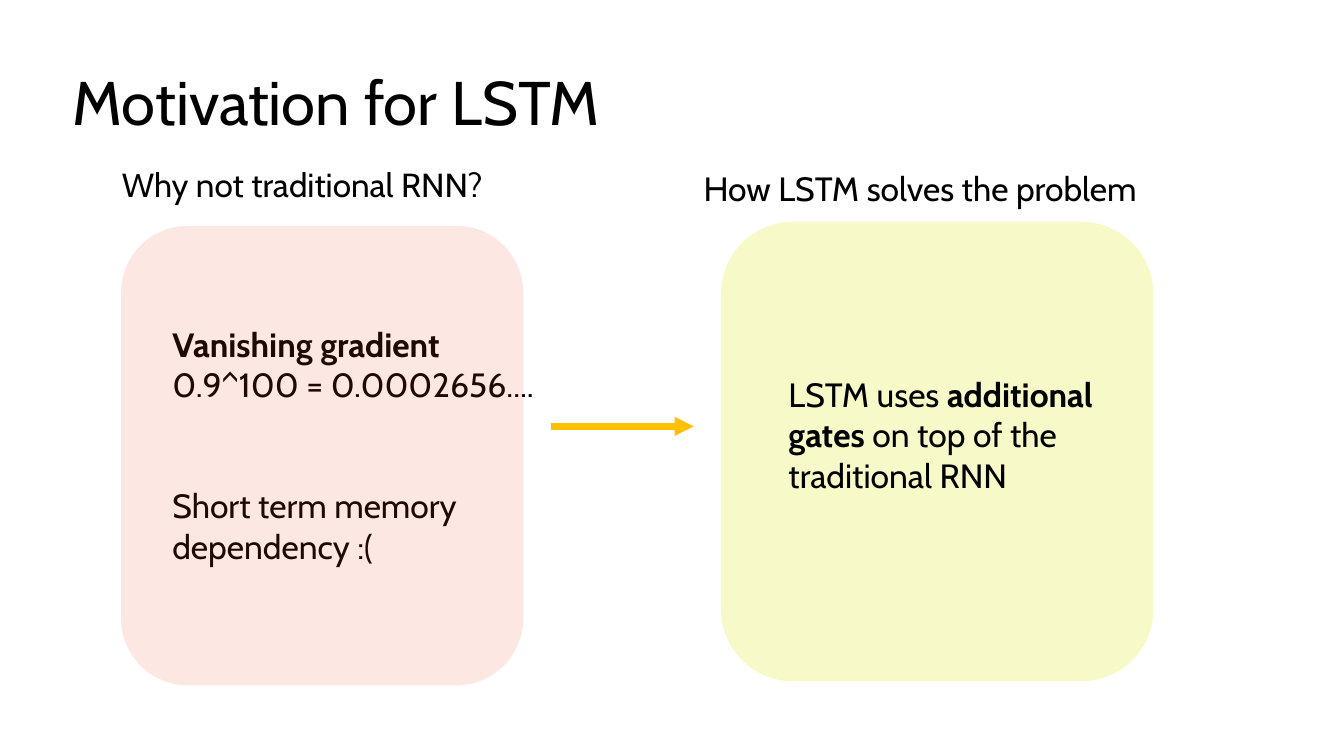
from lxml.etree import SubElement
from pptx import Presentation
from pptx.dml.color import RGBColor
from pptx.enum.shapes import MSO_CONNECTOR, MSO_SHAPE
from pptx.enum.text import MSO_ANCHOR, PP_ALIGN
from pptx.oxml.ns import qn
from pptx.util import Inches, Pt

FONT = "Cabin"
INK = "000000"
INDENT = 0.6  # text inset inside a card


def color(code):
    return RGBColor.from_string(code)


def place(box):
    return [Inches(n) for n in box]


def style(font, size, bold=False):
    font.name, font.size, font.bold = FONT, Pt(size), bold
    font.color.rgb = color(INK)


def add_text(slide, box, lines, inset=0.1, size=24, gap=0, spacing=1.0):
    """Each line is a list of (words, bold); gap parts the last line from the rest."""
    frame = slide.shapes.add_textbox(*place(box)).text_frame
    frame.word_wrap = True
    frame.margin_left = Inches(inset)
    for i, line in enumerate(lines):
        para = frame.add_paragraph() if i else frame.paragraphs[0]
        para.line_spacing = spacing
        for words, bold in line:
            run = para.add_run()
            run.text = words
            style(run.font, size, bold)
    if gap:
        para.space_before = Pt(gap)


def add_title(slide, box, words):
    title = slide.shapes.title
    title.left, title.top, title.width, title.height = place(box)
    frame = title.text_frame
    frame.text = words
    frame.vertical_anchor = MSO_ANCHOR.MIDDLE
    para = frame.paragraphs[0]
    para.alignment = PP_ALIGN.LEFT
    para.line_spacing = 0.9
    style(para.runs[0].font, 44)


def add_card(slide, box, fill, alpha):
    card = slide.shapes.add_shape(MSO_SHAPE.ROUNDED_RECTANGLE, *place(box))
    card.shadow.inherit = False
    card.fill.solid()
    card.fill.fore_color.rgb = color(fill)
    card.line.fill.background()
    tint = card.fill._xPr.find(qn("a:solidFill"))[0]
    SubElement(tint, qn("a:alpha"), val=str(alpha * 1000))


def add_problem(slide, box):
    x, y, w, h = box
    add_text(slide, (x - 0.09, y - 0.55, 4.94, 0.7),
             [[("Why not traditional RNN?", False)]], size=23.8, spacing=0.7)
    # The translucent card lies over its text
    add_text(slide, (x - 0.09, y + 0.92, 4.36, 2.53),
             [[("Vanishing gradient", True)],
              [("0.9^100 = 0.0002656....", False)],
              [("Short term memory dependency :(", False)]],
             inset=INDENT, gap=58)
    add_card(slide, box, "EA4827", 13)


def add_answer(slide, box):
    x, y, w, h = box
    add_card(slide, box, "E4EA27", 25)
    add_text(slide, (x - 0.27, y - 0.58, 5.13, 0.5),
             [[("How LSTM solves the problem", False)]])
    # Explanation on top of the card
    add_text(slide, (x + 0.07, y + 1.46, 4.53, 1.72),
             [[("LSTM uses ", False), ("additional gates", True),
               (" on top of the traditional RNN", False)]], inset=INDENT)


def add_arrow(slide, x, y, length):
    arrow = slide.shapes.add_connector(
        MSO_CONNECTOR.STRAIGHT, *place((x, y, x + length, y)))
    arrow.line.color.rgb = color("FFC000")
    arrow.line.width = Pt(4.5)
    SubElement(arrow.line._get_or_add_ln(), qn("a:tailEnd"), type="triangle")
    SubElement(arrow._element.spPr, qn("a:effectLst"))


def main():
    deck = Presentation()
    deck.slide_width, deck.slide_height = Inches(13.33), Inches(7.5)
    slide = deck.slides.add_slide(deck.slide_layouts[5])
    add_title(slide, (0.62, 0.32, 11.5, 1.45), "Motivation for LSTM")
    add_problem(slide, (1.2, 2.24, 3.99, 4.56))
    add_answer(slide, (7.15, 2.2, 4.29, 4.56))
    add_arrow(slide, 5.47, 4.23, 1.41)
    deck.save("out.pptx")


if __name__ == "__main__":
    main()
